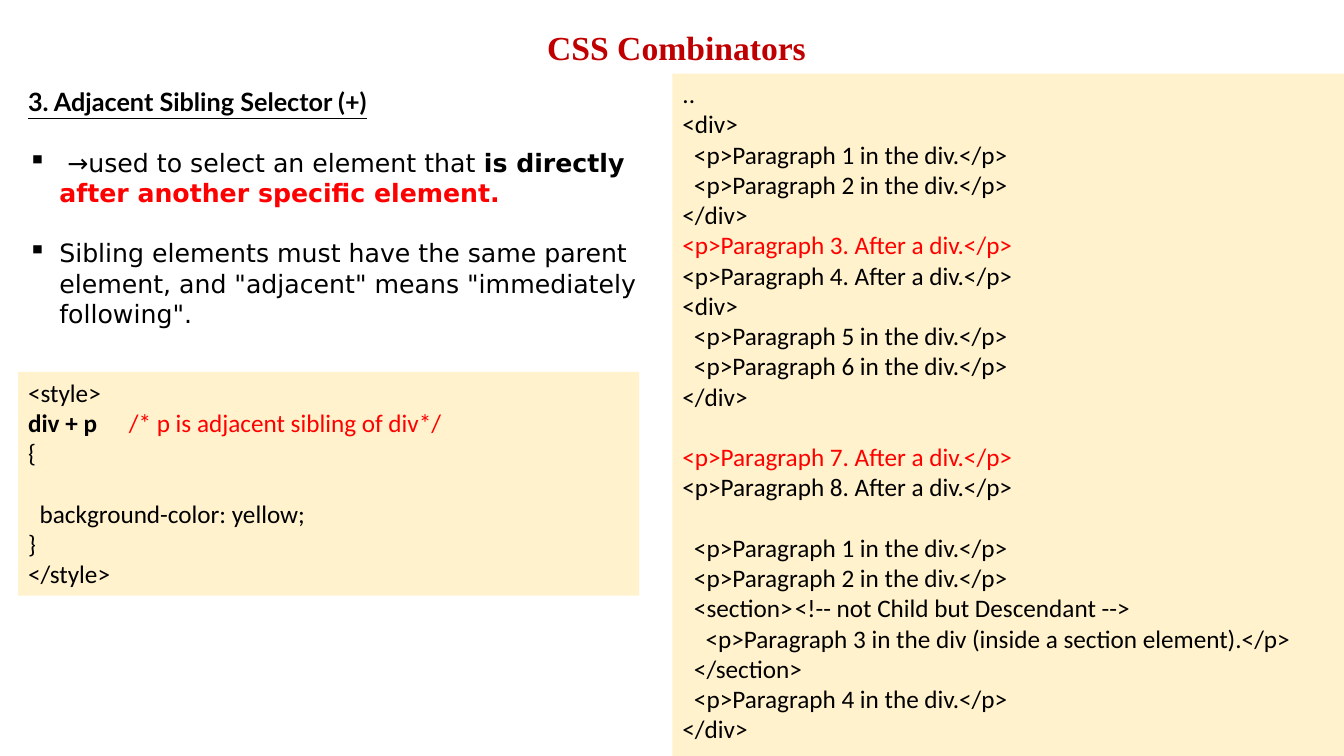
import pptx
import pptx.dml.color
import pptx.enum.shapes
import pptx.enum.text
import pptx.util
from lxml import etree

Inches, Pt = pptx.util.Inches, pptx.util.Pt
RGBColor = pptx.dml.color.RGBColor
MSO_ANCHOR = pptx.enum.text.MSO_ANCHOR
PP_ALIGN = pptx.enum.text.PP_ALIGN

BLACK = RGBColor(0x00, 0x00, 0x00)
RED = RGBColor(0xFF, 0x00, 0x00)
DARK_RED = RGBColor(0xC0, 0x00, 0x00)
CREAM = RGBColor(0xFF, 0xF2, 0xCC)
LINE_GAP = Pt(21.6)
CODE_INDENT = 0.115


def add_line(frame, runs, font, gap=False):
    """Append a paragraph of (text, colour, bold) runs, with a one-line gap above if asked."""
    first = frame.paragraphs[0]
    line = frame.add_paragraph() if first.runs else first
    line.alignment = PP_ALIGN.LEFT
    line.font.name, line.font.size = font, Pt(18)
    if gap:
        line.space_before = LINE_GAP
    for text, colour, bold in runs:
        run = line.add_run()
        run.text = text
        run.font.color.rgb = colour
        run.font.bold = bold
    return line


def add_code(left, top, width, height, lines, comment_tab):
    """Draw a cream code panel from (level, gap, runs) lines; a tab leads to a comment."""
    panel = slide.shapes.add_shape(
        pptx.enum.shapes.MSO_SHAPE.RECTANGLE,
        Inches(left), Inches(top), Inches(width), Inches(height))
    panel.shadow.inherit = False
    panel.fill.solid()
    panel.fill.fore_color.rgb = CREAM
    panel.line.fill.background()
    frame = panel.text_frame
    frame.word_wrap = True
    frame.vertical_anchor = MSO_ANCHOR.TOP
    for level, gap, runs in lines:
        props = add_line(frame, runs, "Calibri", gap)._p.get_or_add_pPr()
        props.set("marL", str(Inches(level * CODE_INDENT)))
        props.set("indent", "0")
        if any("\t" in text for text, _, _ in runs):
            tabs = etree.SubElement(props, pptx.oxml.ns.qn("a:tabLst"))
            etree.SubElement(tabs, pptx.oxml.ns.qn("a:tab"),
                             pos=str(Inches(comment_tab)), algn="l")


deck = pptx.Presentation()
deck.slide_width, deck.slide_height = Inches(13.33), Inches(7.5)
slide = deck.slides.add_slide(deck.slide_layouts[5])

# Title
title = slide.shapes.title
title.left, title.top = Inches(0.35), Inches(0.22)
title.width, title.height = Inches(12.72), Inches(0.49)
title.text_frame.text = "CSS Combinators"
title.text_frame.auto_size = pptx.enum.text.MSO_AUTO_SIZE.NONE
title.text_frame.vertical_anchor = MSO_ANCHOR.MIDDLE
heading = title.text_frame.paragraphs[0]
heading.alignment = PP_ALIGN.CENTER
heading.font.name, heading.font.size = "Times New Roman", Pt(24)
heading.font.bold = True
heading.font.color.rgb = DARK_RED

# Explanation of the selector
explanation = slide.shapes.add_textbox(
    Inches(0.18), Inches(0.81), Inches(6.49), Inches(2.52)).text_frame
explanation.word_wrap = True
selector = add_line(explanation, [("3. Adjacent Sibling Selector (+)", BLACK, True)], "Lato")
selector.font.underline = True
selector.runs[0].font.underline = True

points = [
    [(" →used to select an element that ", BLACK, False),
     ("is directly ", BLACK, True),
     ("after another specific element.", RED, True)],
    [('Sibling elements must have the same parent element, and "adjacent" '
      'means "immediately following".', BLACK, False)],
]
for runs in points:
    props = add_line(explanation, runs, "DejaVu Sans", gap=True)._p.get_or_add_pPr()
    props.set("marL", str(Inches(0.31)))
    props.set("indent", str(-Inches(0.31)))
    etree.SubElement(props, pptx.oxml.ns.qn("a:buChar"), char="▪")

# HTML sample: indent level, gap above, text, colour
html = [
    (0, False, "..", BLACK),
    (0, False, "<div>", BLACK),
    (1, False, "<p>Paragraph 1 in the div.</p>", BLACK),
    (1, False, "<p>Paragraph 2 in the div.</p>", BLACK),
    (0, False, "</div>", BLACK),
    (0, False, "<p>Paragraph 3. After a div.</p>", RED),
    (0, False, "<p>Paragraph 4. After a div.</p>", BLACK),
    (0, False, "<div>", BLACK),
    (1, False, "<p>Paragraph 5 in the div.</p>", BLACK),
    (1, False, "<p>Paragraph 6 in the div.</p>", BLACK),
    (0, False, "</div>", BLACK),
    (0, True, "<p>Paragraph 7. After a div.</p>", RED),
    (0, False, "<p>Paragraph 8. After a div.</p>", BLACK),
    (1, True, "<p>Paragraph 1 in the div.</p>", BLACK),
    (1, False, "<p>Paragraph 2 in the div.</p>", BLACK),
    (1, False, "<section>\t<!-- not Child but Descendant -->", BLACK),
    (2, False, "<p>Paragraph 3 in the div (inside a section element).</p>", BLACK),
    (1, False, "</section>", BLACK),
    (1, False, "<p>Paragraph 4 in the div.</p>", BLACK),
    (0, False, "</div>", BLACK),
]
add_code(6.67, 0.73, 6.66, 6.77,
         [(level, gap, [(text, colour, False)]) for level, gap, text, colour in html],
         comment_tab=1.32)

# CSS rule
css = [
    (0, False, [("<style>", BLACK, False)]),
    (0, False, [("div + p\t", BLACK, True),
                ("/* p is adjacent sibling of div*/", RED, False)]),
    (0, False, [("{", BLACK, False)]),
    (1, True, [("background-color: yellow;", BLACK, False)]),
    (0, False, [("}", BLACK, False)]),
    (0, False, [("</style>", BLACK, False)]),
]
add_code(0.18, 3.69, 6.16, 2.22, css, comment_tab=0.91)

deck.save("out.pptx")
